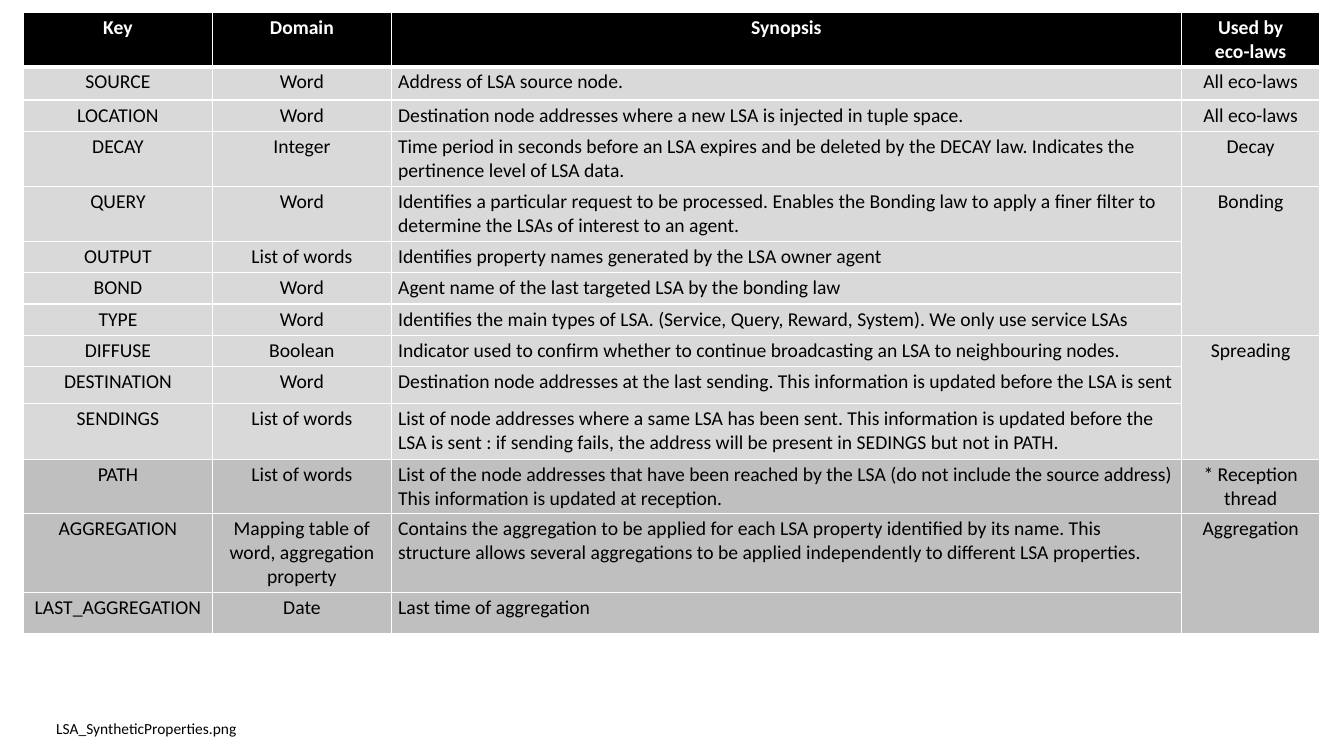
from lxml import etree
from pptx import Presentation
from pptx.dml.color import RGBColor
from pptx.enum.text import MSO_AUTO_SIZE as AutoSize, PP_ALIGN as Align
from pptx.oxml import parse_xml
from pptx.oxml.ns import nsdecls
from pptx.util import Inches, Pt

BLACK, WHITE, LIGHT, DARK = "000000", "FFFFFF", "D9D9D9", "BFBFBF"
COLUMN_WIDTHS = [1.88, 1.77, 7.84, 1.37]
SYNOPSIS_COLUMN, LAW_COLUMN = 2, 3
FIRST_DARK_ROW = 11
HEADER = ("Key", "Domain", "Synopsis", "Used by\neco-laws")
PROPERTIES = [
    (0.33, "SOURCE", "Word", "Address of LSA source node.", "All eco-laws"),
    (0.31, "LOCATION", "Word",
     "Destination node addresses where a new LSA is injected in tuple space.", "All eco-laws"),
    (0.55, "DECAY", "Integer",
     "Time period in seconds before an LSA expires and be deleted by the DECAY law. "
     "Indicates the pertinence level of LSA data.", "Decay"),
    (0.54, "QUERY", "Word",
     "Identifies a particular request to be processed. Enables the Bonding law to apply "
     "a finer filter to determine the LSAs of interest to an agent.", "Bonding"),
    (0.31, "OUTPUT", "List of words",
     "Identifies property names generated by the LSA owner agent", None),
    (0.31, "BOND", "Word", "Agent name of the last targeted LSA by the bonding law", None),
    (0.31, "TYPE", "Word",
     "Identifies the main types of LSA. (Service, Query, Reward, System). "
     "We only use service LSAs", None),
    (0.31, "DIFFUSE", "Boolean",
     "Indicator used to confirm whether to continue broadcasting an LSA "
     "to neighbouring nodes.", "Spreading"),
    (0.37, "DESTINATION", "Word",
     "Destination node addresses at the last sending. "
     "This information is updated before the LSA is sent", None),
    (0.55, "SENDINGS", "List of words",
     "List of node addresses where a same LSA has been sent. This information is updated "
     "before the LSA is sent : if sending fails, the address will be present in SEDINGS "
     "but not in PATH.", None),
    (0.54, "PATH", "List of words",
     "List of the node addresses that have been reached by the LSA (do not include "
     "the source address) This information is updated at reception.", "* Reception thread"),
    (0.78, "AGGREGATION", "Mapping table of word, aggregation property",
     "Contains the aggregation to be applied for each LSA property identified by its name. "
     "This structure allows several aggregations to be applied independently to different "
     "LSA properties.", "Aggregation"),
    (0.41, "LAST_AGGREGATION", "Date", "Last time of aggregation", None),
]


def color(value):
    return RGBColor.from_string(value)


def format_text(frame, size, font_color, bold=False, align=Align.LEFT):
    for para in frame.paragraphs:
        para.alignment = align
        for span in para.runs:
            span.font.name = "Calibri"
            span.font.size = Pt(size)
            span.font.bold = bold
            span.font.color.rgb = color(font_color)


def add_borders(cell, row):
    properties = cell._tc.get_or_add_tcPr()
    thick_sides = {0: "B", 1: "T"}
    for side in "LRTB":
        width = Pt(3 if thick_sides.get(row) == side else 1)
        properties.append(parse_xml(
            f'<a:ln{side} {nsdecls("a")} w="{width}"><a:solidFill>'
            f'<a:srgbClr val="{WHITE}"/></a:solidFill></a:ln{side}>'))


def style_cell(cell, row, column):
    is_header = row == 0
    cell.margin_left = cell.margin_right = Inches(0.07)
    cell.margin_top = cell.margin_bottom = Inches(0.07) // 2
    add_borders(cell, row)
    cell.fill.solid()
    cell.fill.fore_color.rgb = color(
        BLACK if is_header else DARK if row >= FIRST_DARK_ROW else LIGHT)
    centered = is_header or column != SYNOPSIS_COLUMN
    format_text(cell.text_frame, 14, WHITE if is_header else BLACK, is_header,
                Align.CENTER if centered else Align.LEFT)


def merge_laws(table, rows):
    starts = [index for index, texts in enumerate(rows) if texts[LAW_COLUMN]]
    for start, following in zip(starts, starts[1:] + [len(rows)]):
        if following - start > 1:
            table.cell(start, LAW_COLUMN).merge(table.cell(following - 1, LAW_COLUMN))


def add_property_table(slide, left, top, width):
    rows = [HEADER] + [entry[1:] for entry in PROPERTIES]
    heights = [0.54] + [entry[0] for entry in PROPERTIES]
    table = slide.shapes.add_table(
        len(rows), len(COLUMN_WIDTHS), Inches(left), Inches(top),
        Inches(width), Inches(sum(heights))).table
    table.horz_banding = False
    for column, column_width in zip(table.columns, COLUMN_WIDTHS):
        column.width = Inches(column_width)
    for row, (texts, height) in enumerate(zip(rows, heights)):
        table.rows[row].height = Inches(height)
        for column, text in enumerate(texts):
            cell = table.cell(row, column)
            cell.text_frame.text = text or ""
            style_cell(cell, row, column)
    merge_laws(table, rows)


def add_file_label(slide, left, top, width, height):
    box = slide.shapes.add_textbox(Inches(left), Inches(top), Inches(width), Inches(height))
    frame = box.text_frame
    frame.word_wrap = True
    frame.auto_size = AutoSize.SHAPE_TO_FIT_TEXT
    frame.text = "LSA_SyntheticProperties.png"
    format_text(frame, 11, BLACK)


def main():
    deck = Presentation()
    deck.slide_width, deck.slide_height = Inches(13.33), Inches(7.5)
    slide = deck.slides.add_slide(deck.slide_layouts[6])
    add_property_table(slide, 0.23, 0.12, sum(COLUMN_WIDTHS))
    add_file_label(slide, 0.46, 7.08, 2.44, 0.29)
    deck.save("out.pptx")


if __name__ == "__main__":
    main()
